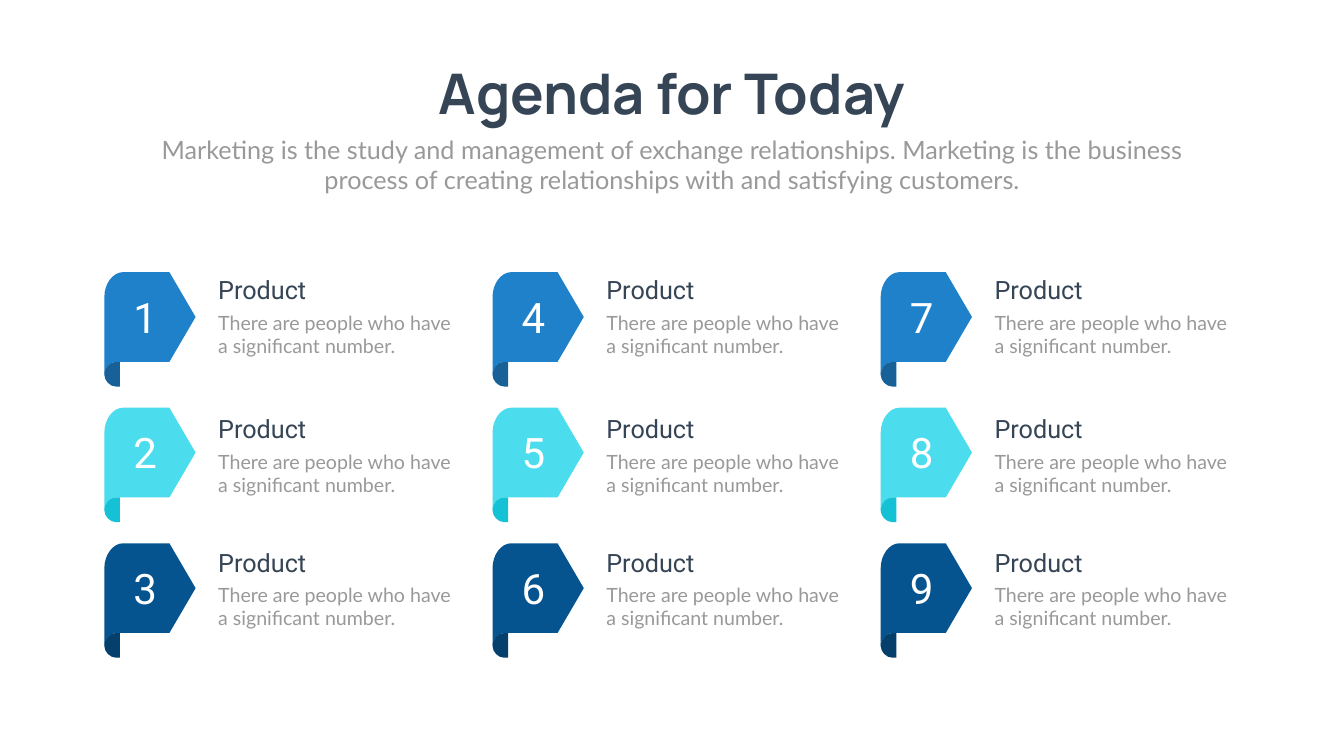
from dataclasses import dataclass
from itertools import product

from lxml.etree import SubElement
from pptx import Presentation
from pptx.dml.color import RGBColor
from pptx.enum.text import MSO_AUTO_SIZE, PP_ALIGN
from pptx.oxml.ns import qn
from pptx.util import Emu, Inches, Pt

PX_PER_INCH = 100


def px(n):
    return Emu(round(n * Inches(1) / PX_PER_INCH))


@dataclass(frozen=True)
class TextStyle:
    font: str
    size: int
    color: str
    bold: bool = False
    align: PP_ALIGN = PP_ALIGN.LEFT


class Theme:
    INK, GREY, WHITE = "364556", "999999", "FFFFFF"
    TITLE = TextStyle("Manrope", 80, INK, True, PP_ALIGN.CENTER)
    INTRO = TextStyle("Lato", 36, GREY, align=PP_ALIGN.CENTER)
    NUMBER = TextStyle("Roboto", 60, WHITE, align=PP_ALIGN.CENTER)
    HEADING = TextStyle("Roboto", 36, INK)
    BODY = TextStyle("Lato", 28, GREY)
    RIBBONS = (("1E81CA", "176198"), ("4BDCED", "15C1D5"), ("06548F", "053F6B"))


# Each outline is a start point, then steps: one point is a line,
# three points are a Bezier curve.
TAB = ((0, 49), [
    [(0, 23), (17, 0), (37, 0)],
    [(129, 0)], [(181, 89)], [(129, 178)], [(23, 178)],
    [(11, 178), (0, 190), (0, 204)],
])
FOLD = ((0, 26), [
    [(0, 11), (11, 0), (23, 0)],
    [(31, 0)], [(31, 49)], [(23, 49)],
    [(11, 49), (0, 37), (0, 26)],
])
FOLD_DROP = 178


class SlideBuilder:
    def __init__(self, slide, theme):
        self.slide = slide
        self.theme = theme

    def text(self, content, x, y, w, h, style, wrap=True):
        box = self.slide.shapes.add_textbox(px(x), px(y), px(w), px(h))
        tf = box.text_frame
        tf.word_wrap = wrap
        tf.auto_size = MSO_AUTO_SIZE.SHAPE_TO_FIT_TEXT
        p = tf.paragraphs[0]
        p.text = content
        p.alignment = style.align
        p.font.name = style.font
        p.font.size = Pt(style.size)
        p.font.bold = style.bold
        p.font.color.rgb = RGBColor.from_string(style.color)
        return box

    def number(self, n, x, y):
        """Item number in a half-turned box whose text is turned back upright."""
        box = self.text(str(n), x, y, 150, 111, self.theme.NUMBER)
        box.rotation = 180
        box.text_frame._txBody.bodyPr.set("rot", "10800000")

    def outline(self, shape, x, y, color):
        """Filled closed shape whose points are relative to x, y."""
        start, steps = shape
        builder = self.slide.shapes.build_freeform(px(start[0]), px(start[1]))
        builder.add_line_segments([(px(a), px(b)) for step in steps for a, b in step])
        sp = builder.convert_to_shape(px(x), px(y))
        self.bend(sp, steps)
        sp.shadow.inherit = False
        sp.fill.solid()
        sp.fill.fore_color.rgb = RGBColor.from_string(color)
        sp.line.fill.background()

    def bend(self, sp, steps):
        """Join the lines of each three-point step into one Bezier curve."""
        lines = iter(list(sp._element.iter(qn("a:lnTo"))))
        for step in steps:
            group = [next(lines) for _ in step]
            if len(group) == 3:
                parent = group[0].getparent()
                curve = SubElement(parent, qn("a:cubicBezTo"))
                group[0].addprevious(curve)
                for line in group:
                    curve.append(line[0])
                    parent.remove(line)

    def ribbon(self, x, y, colors):
        tab_color, fold_color = colors
        self.outline(TAB, x, y, tab_color)
        self.outline(FOLD, x, y + FOLD_DROP, fold_color)

    def agenda_item(self, n, x, y, text_y, colors):
        self.ribbon(x, y, colors)
        self.number(n, x + 6, y + 33)
        text_x = x + 216
        self.text("Product", text_x, text_y, 393, 71, self.theme.HEADING)
        self.text("There are people who have a significant number.",
                  text_x, text_y + 71, 496, 104, self.theme.BODY)


def main():
    prs = Presentation()
    prs.slide_width, prs.slide_height = px(2666), px(1500)
    s = SlideBuilder(prs.slides.add_slide(prs.slide_layouts[6]), Theme)

    s.text("Agenda for Today", 812, 112, 1042, 145, Theme.TITLE, wrap=False)
    s.text("Marketing is the study and management of exchange relationships. "
           "Marketing is the business process of creating relationships with "
           "and satisfying customers.", 292, 261, 2082, 131, Theme.INTRO)

    left, column_step = 207, 770
    top, row_step = 540, 269
    text_tops = (540, 816, 1080)
    for n, (col, row) in enumerate(product(range(3), range(3)), start=1):
        s.agenda_item(n, left + col * column_step, top + row * row_step,
                      text_tops[row], Theme.RIBBONS[row])

    prs.save("out.pptx")


if __name__ == "__main__":
    main()
